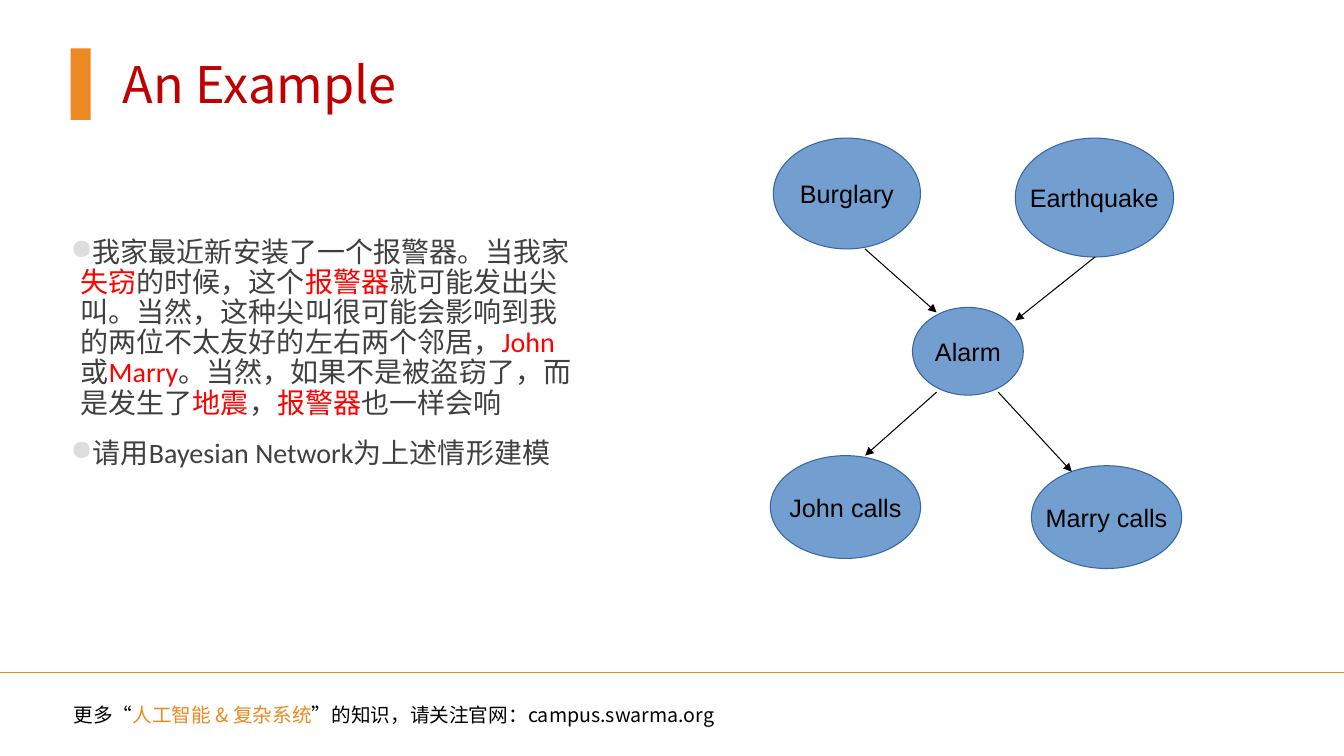
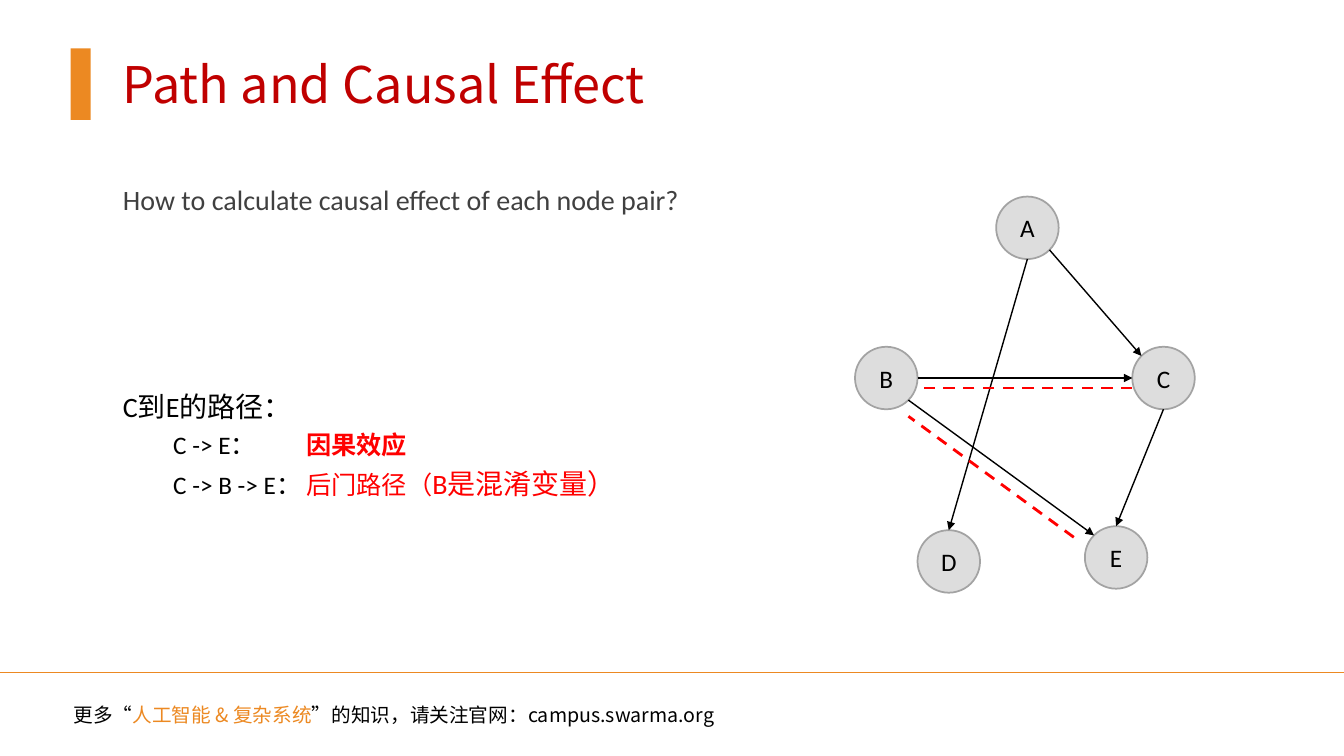
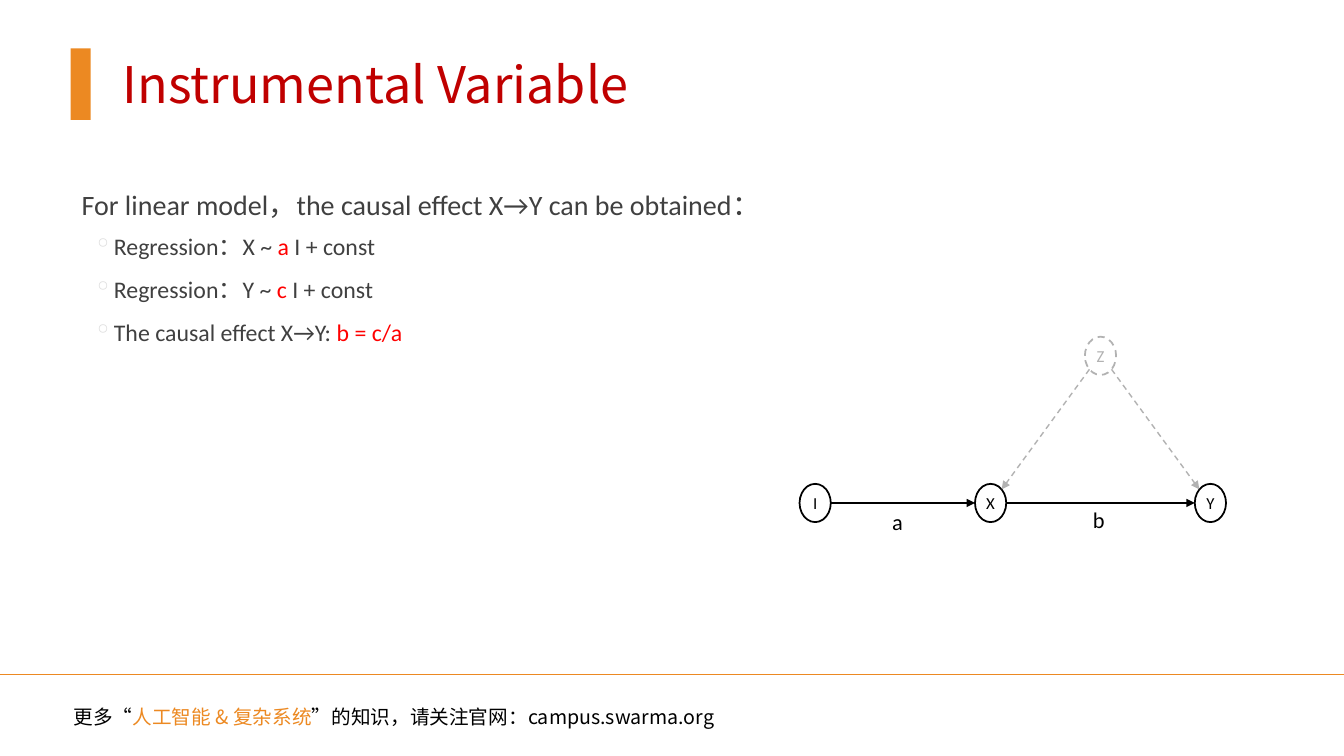
import math

from lxml import etree
from pptx import Presentation
from pptx import util as u
from pptx.dml.color import RGBColor
from pptx.enum import dml, shapes, text
from pptx.oxml.ns import qn

CJK, LATIN, SANS = "Noto Sans CJK SC", "Calibri", "Arial"
TITLE, ORANGE, RED = "C00000", "EC8922", "FF0000"
BLACK, BODY, PALE, GHOST = "000000", "404040", "DDDDDD", "B2B2B2"
TOP, RIGHT, BOTTOM, LEFT = -90, 0, 90, 180
TOP_RIGHT, BOTTOM_RIGHT, BOTTOM_LEFT, TOP_LEFT = -45, 45, 135, -135


def rgb(value):
    return RGBColor.from_string(value)


def add_xml(parent, tag, **attrs):
    return etree.SubElement(parent, qn(tag), attrs)


def site(node, angle):
    left, top, width, height = node
    turn = math.radians(angle)
    return (left + width / 2 * (1 + math.cos(turn)),
            top + height / 2 * (1 + math.sin(turn)))


class Deck:
    """Holds the shared style and the current slide, and draws each kind of element."""

    def __init__(self):
        self.prs = Presentation()
        self.prs.slide_width = u.Inches(13.33)
        self.prs.slide_height = u.Inches(7.5)

    def new_slide(self, title, rule_y=6.67):
        self.s = self.prs.slides.add_slide(self.prs.slide_layouts[6])
        tf = self.box(1.12, 0.48, 11.52, 0.71)
        self.para(tf, [title], 36, TITLE, CJK)
        self.shape(shapes.MSO_SHAPE.RECTANGLE, (0.7, 0.48, 0.2, 0.71), ORANGE)
        self.line((0, rule_y), (13.33, rule_y), ORANGE, arrow=False)
        tf = self.box(0.63, rule_y + 0.25, 7.85, 0.34)
        self.para(tf, ["更多“", ("人工智能 & 复杂系统", ORANGE),
                       "”的知识，请关注官网：campus.swarma.org"], 14, font=CJK)

    def box(self, left, top, width, height, inset=0.1, wrap=True):
        sp = self.s.shapes.add_textbox(*map(u.Inches, (left, top, width, height)))
        tf = sp.text_frame
        tf.word_wrap = wrap
        tf.margin_left = tf.margin_right = u.Inches(inset)
        return tf

    def para(self, tf, runs, size, color=BLACK, font=LATIN, spacing=None,
             before=0, after=0, indent=0, hanging=0, bullet=None, tab=None, align=None):
        first = not tf.paragraphs[0].runs
        p = tf.paragraphs[0] if first else tf.add_paragraph()
        p.alignment = align
        if spacing:
            p.line_spacing = spacing
        if before and not first:
            p.space_before = u.Pt(before)
        if after:
            p.space_after = u.Pt(after)
        ppr = p._p.get_or_add_pPr()
        if indent:
            ppr.set("marL", str(u.Inches(indent)))
            ppr.set("indent", str(-u.Inches(hanging)))
        if bullet:
            add_xml(add_xml(ppr, "a:buClr"), "a:srgbClr", val=PALE)
            add_xml(ppr, "a:buChar", char=bullet)
        if tab:
            add_xml(add_xml(ppr, "a:tabLst"), "a:tab", pos=str(u.Inches(tab)), algn="l")
        p.font.size = u.Pt(size)
        p.font.name = font
        p.font.color.rgb = rgb(color)
        add_xml(ppr.find(qn("a:defRPr")), "a:ea", typeface=CJK)
        for run in runs:
            words, tint, bold, points = (
                (run, None, None, None) if isinstance(run, str)
                else (*run, None, None)[:4])
            r = p.add_run()
            r.text = words
            if tint:
                r.font.color.rgb = rgb(tint)
            if bold:
                r.font.bold = True
            if points:
                r.font.size = u.Pt(points)

    def shape(self, kind, at, fill, outline=None, width=1.25, dash=None):
        sp = self.s.shapes.add_shape(kind, *map(u.Inches, at))
        sp.shadow.inherit = False
        sp.fill.solid()
        sp.fill.fore_color.rgb = rgb(fill)
        if outline:
            sp.line.color.rgb = rgb(outline)
            sp.line.width = u.Pt(width)
            sp.line.dash_style = dash
        else:
            sp.line.fill.background()
        return sp

    def node(self, label, at, size, fill, outline, width=1.25, dash=None,
             color=BLACK, font=LATIN):
        sp = self.shape(shapes.MSO_SHAPE.OVAL, at, fill, outline, width, dash)
        tf = sp.text_frame
        tf.word_wrap = False
        tf.margin_left = tf.margin_right = 0
        tf.vertical_anchor = text.MSO_ANCHOR.MIDDLE
        self.para(tf, [label], size, color, font, align=text.PP_ALIGN.CENTER)

    def line(self, start, end, color=BLACK, width=1, dash=None, arrow=True):
        cx = self.s.shapes.add_connector(
            shapes.MSO_CONNECTOR.STRAIGHT, *map(u.Inches, (*start, *end)))
        cx.line.color.rgb = rgb(color)
        cx.line.width = u.Pt(width)
        cx.line.dash_style = dash
        if arrow:
            add_xml(cx.line._get_or_add_ln(), "a:tailEnd", type="triangle")
        add_xml(cx._element.spPr, "a:effectLst")


def alarm_slide(deck):
    deck.new_slide("An Example")
    tf = deck.box(0.7, 2.31, 5, 3.88, inset=0)
    story = [
        "我家最近新安装了一个报警器。当我家", ("失窃", RED), "的时候，这个", ("报警器", RED),
        "就可能发出尖叫。当然，这种尖叫很可能会影响到我的两位不太友好的左右两个邻居，",
        ("John", RED), "或", ("Marry", RED), "。当然，如果不是被盗窃了，而是发生了",
        ("地震", RED), "，", ("报警器", RED), "也一样会响"]
    for runs in (story, ["请用Bayesian Network为上述情形建模"]):
        deck.para(tf, runs, 20, BODY, spacing=0.9, before=12, after=2,
                  indent=0.1, hanging=0.1, bullet="●")
    for label, at in (
            ("Burglary", (7.67, 1.37, 1.46, 1.1)),
            ("Earthquake", (10.07, 1.37, 1.57, 1.18)),
            ("Alarm", (9.05, 3.05, 1.1, 0.87)),
            ("John calls", (7.64, 4.52, 1.49, 1.02)),
            ("Marry calls", (10.23, 4.62, 1.49, 1.02))):
        deck.node(label, at, 18, "729FCF", "3465A4", 0.75, font=SANS)
    for start, end in (
            ((8.58, 2.47), (9.29, 3.1)), ((10.86, 2.55), (10.07, 3.18)),
            ((9.29, 3.89), (8.58, 4.52)), ((9.9, 3.89), (10.63, 4.68))):
        deck.line(start, end, width=0.75)


def path_slide(deck):
    deck.new_slide("Path and Causal Effect")
    tf = deck.box(1.12, 1.8, 6.76, 0.92, inset=0)
    deck.para(tf, ["How to calculate causal effect of each node pair?"], 20, BODY,
              spacing=0.9, after=2, indent=0.1)
    corners = {"A": (9.88, 1.95), "B": (8.48, 3.44), "C": (11.23, 3.44),
               "D": (9.1, 5.26), "E": (10.76, 5.22)}
    nodes = {label: (*corner, 0.62, 0.62) for label, corner in corners.items()}
    for label, at in nodes.items():
        deck.node(label, at, 18, PALE, "A3A3A3")
    for tail, out, head, into in (
            ("A", BOTTOM, "D", TOP), ("A", BOTTOM_RIGHT, "C", TOP_LEFT),
            ("B", RIGHT, "C", LEFT), ("C", BOTTOM, "E", TOP),
            ("B", BOTTOM_RIGHT, "E", TOP_LEFT)):
        deck.line(site(nodes[tail], out), site(nodes[head], into))
    tf = deck.box(1.02, 3.75, 6.6, 0.5)
    deck.para(tf, ["C到E的路径："], 20, spacing=1.2, indent=0.1)
    tf = deck.box(1.62, 4.15, 6, 0.84)
    for runs in (
            ["C -> E：\t", ("因果效应", RED, True)],
            ["C -> B -> E：\t", ("后门路径（", RED), ("B是混淆变量）", RED, False, 20)]):
        deck.para(tf, runs, 18, spacing=1.2, tab=1.32)
    for start, end in (((11.23, 3.85), (9.1, 3.85)), ((10.65, 5.33), (9.01, 4.13))):
        deck.line(start, end, RED, 2, dml.MSO_LINE.DASH, arrow=False)


def instrument_slide(deck):
    deck.new_slide("Instrumental Variable", rule_y=6.69)
    tf = deck.box(0.71, 1.74, 8.03, 2, inset=0)
    deck.para(tf, ["For linear model，the causal effect X→Y can be obtained："], 20, BODY,
              spacing=1.2, after=2, indent=0.1)
    for runs in (
            ["Regression：X ~ ", ("a ", RED), "I + const"],
            ["Regression：Y ~ ", ("c ", RED), "I + const"],
            ["The causal effect X→Y: ", ("b = c/a", RED)]):
        deck.para(tf, runs, 17, BODY, spacing=1.2, before=2, after=4,
                  indent=0.42, hanging=0.2, bullet="◦")
    dash = dml.MSO_LINE.DASH
    corners = {"Z": (10.76, 3.34), "X": (9.67, 4.8), "Y": (11.85, 4.8), "I": (7.93, 4.8)}
    nodes = {label: (*corner, 0.31, 0.38) for label, corner in corners.items()}
    for label, at in nodes.items():
        color, style = (GHOST, dash) if label == "Z" else (BLACK, None)
        deck.node(label, at, 12, "FFFFFF", color, dash=style, color=color)
    for tail, out, head, into, color, style in (
            ("I", RIGHT, "X", LEFT, BLACK, None),
            ("X", RIGHT, "Y", LEFT, BLACK, None),
            ("Z", BOTTOM_LEFT, "X", TOP_RIGHT, GHOST, dash),
            ("Z", BOTTOM_RIGHT, "Y", TOP_LEFT, GHOST, dash)):
        deck.line(site(nodes[tail], out), site(nodes[head], into), color, dash=style)
    for label, left, top in (("a", 8.75, 4.99), ("b", 10.74, 4.97)):
        deck.para(deck.box(left, top, 0.4, 0.57, wrap=False), [label], 16)


def main():
    deck = Deck()
    alarm_slide(deck)
    path_slide(deck)
    instrument_slide(deck)
    deck.prs.save("out.pptx")


if __name__ == "__main__":
    main()
